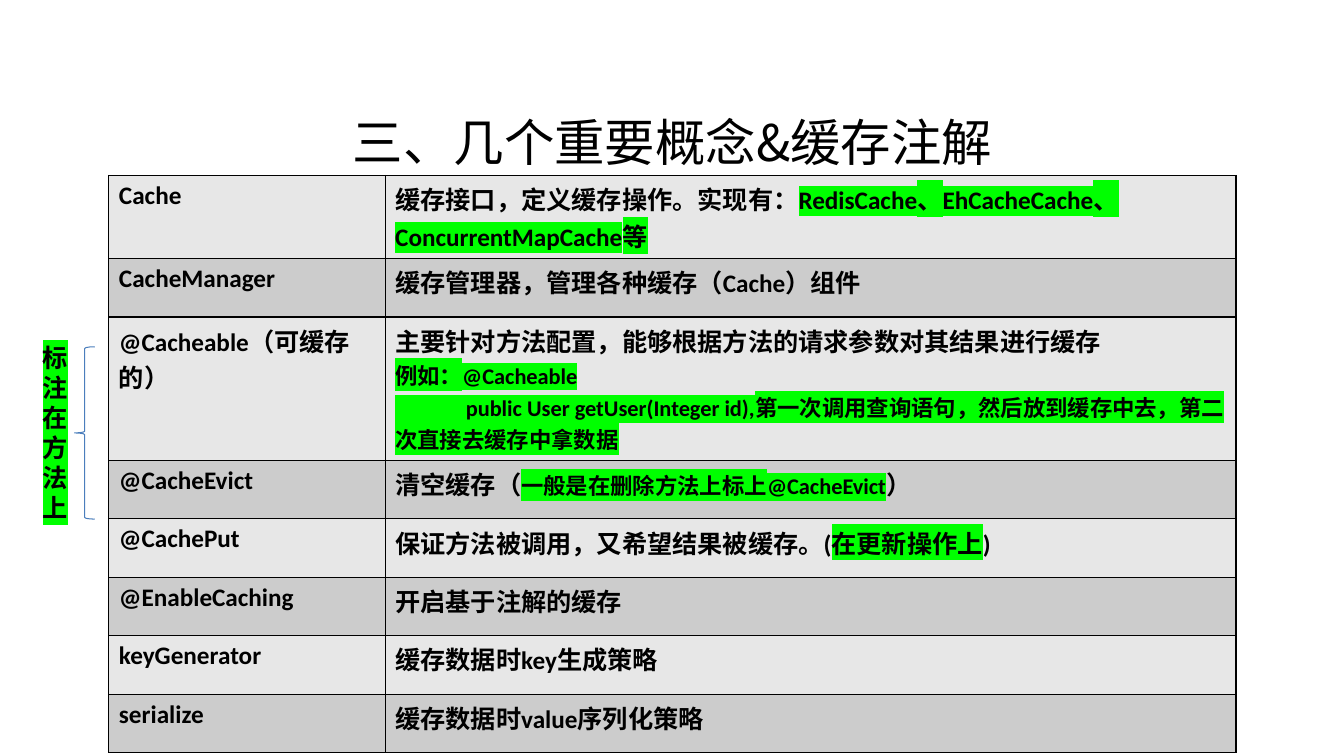
from dataclasses import dataclass

from lxml.etree import SubElement
from pptx import Presentation
from pptx.dml.color import RGBColor
from pptx.enum.shapes import MSO_SHAPE as Shape
from pptx.enum.text import MSO_ANCHOR as Anchor, PP_ALIGN as Align
from pptx.oxml.ns import qn
from pptx.util import Inches, Pt


@dataclass(frozen=True)
class Theme:
    text: str = "000000"
    highlight: str = "00FF00"
    brace: str = "4B7EBC"
    bands: tuple = ("E7E7E7", "CCCCCC")
    latin: str = "Calibri"
    chinese: str = "Noto Sans CJK SC"
    mono: str = "Noto Sans Mono"
    title_size: float = 36
    body_size: float = 18
    example_size: float = 16
    label_spacing: float = 21.5
    border_width: float = 1
    brace_width: float = 0.75


THEME = Theme()


@dataclass(frozen=True)
class Span:
    text: str
    marked: bool = False
    size: float = THEME.body_size


def example(text):
    return Span(text, True, THEME.example_size)


CONCEPTS = [
    ("Cache", [[Span("缓存接口，定义缓存操作。实现有："),
                Span("RedisCache、EhCacheCache、ConcurrentMapCache等", True)]]),
    ("CacheManager", [[Span("缓存管理器，管理各种缓存（Cache）组件")]]),
    ("@Cacheable（可缓存的）", [
        [Span("主要针对方法配置，能够根据方法的请求参数对其结果进行缓存")],
        [example("例如：@Cacheable")],
        [example("              public User getUser(Integer id),"
                 "第一次调用查询语句，然后放到缓存中去，第二次直接去缓存中拿数据")],
    ]),
    ("@CacheEvict", [[Span("清空缓存（"),
                      example("一般是在删除方法上标上@CacheEvict"), Span("）")]]),
    ("@CachePut", [[Span("保证方法被调用，又希望结果被缓存。("),
                    Span("在更新操作上", True), Span(")")]]),
    ("@EnableCaching", [[Span("开启基于注解的缓存")]]),
    ("keyGenerator", [[Span("缓存数据时key生成策略")]]),
    ("serialize", [[Span("缓存数据时value序列化策略")]]),
]
COLUMN_WIDTHS = (2.74, 8.44)
ROW_HEIGHT = 0.58
TALL_ROWS = {0: 0.74, 2: 0.65}


def box(left, top, width, height):
    return [Inches(length) for length in (left, top, width, height)]


def format_run(run, size, latin, chinese, bold=True, marked=False):
    run.font.size = Pt(size)
    run.font.bold = bold
    run.font.color.rgb = RGBColor.from_string(THEME.text)
    properties = run.font.fill._xPr
    if marked:
        highlight = SubElement(properties, qn("a:highlight"))
        SubElement(highlight, qn("a:srgbClr"), val=THEME.highlight)
    run.font.name = latin
    SubElement(properties, qn("a:ea"), typeface=chinese)


def add_title(slide, text):
    title = slide.shapes.title
    title.left, title.top, title.width, title.height = box(0.67, 0.78, 12, 1.25)
    title.text_frame.text = text
    title.text_frame.vertical_anchor = Anchor.MIDDLE
    heading = title.text_frame.paragraphs[0]
    heading.alignment = Align.CENTER
    format_run(heading.runs[0], THEME.title_size, THEME.chinese, THEME.chinese, bold=False)


def style_cell(cell, band):
    properties = cell._tc.get_or_add_tcPr()
    for side in ("lnL", "lnR", "lnT", "lnB"):
        border = SubElement(properties, qn(f"a:{side}"), w=str(Pt(THEME.border_width)))
        SubElement(SubElement(border, qn("a:solidFill")), qn("a:srgbClr"), val=THEME.text)
    cell.fill.solid()
    cell.fill.fore_color.rgb = RGBColor.from_string(band)


def fill_cell(cell, lines):
    frame = cell.text_frame
    for index, spans in enumerate(lines):
        paragraph = frame.add_paragraph() if index else frame.paragraphs[0]
        for span in spans:
            run = paragraph.add_run()
            run.text = span.text
            format_run(run, span.size, THEME.latin, THEME.chinese, marked=span.marked)


def add_concepts(slide):
    heights = [TALL_ROWS.get(index, ROW_HEIGHT) for index in range(len(CONCEPTS))]
    frame = slide.shapes.add_table(
        len(CONCEPTS), len(COLUMN_WIDTHS),
        *box(1.08, 1.74, sum(COLUMN_WIDTHS), sum(heights)))
    concepts = frame.table
    concepts.first_row = concepts.horz_banding = False
    for column, width in zip(concepts.columns, COLUMN_WIDTHS):
        column.width = Inches(width)
    for index, (name, meaning) in enumerate(CONCEPTS):
        row = concepts.rows[index]
        row.height = Inches(heights[index])
        for cell, lines in zip(row.cells, ([[Span(name)]], meaning)):
            style_cell(cell, THEME.bands[index % 2])
            fill_cell(cell, lines)


def add_side_label(slide, text):
    label = slide.shapes.add_textbox(*box(0.42, 3.36, 0.26, 1.86))
    frame = label.text_frame
    frame.text = text
    frame.word_wrap = True
    frame.vertical_anchor = Anchor.MIDDLE
    frame.margin_left = frame.margin_right = frame.margin_top = frame.margin_bottom = 0
    line = frame.paragraphs[0]
    line.alignment = Align.CENTER
    line.line_spacing = Pt(THEME.label_spacing)
    format_run(line.runs[0], THEME.body_size, THEME.mono, THEME.mono, marked=True)


def add_brace(slide):
    brace = slide.shapes.add_shape(Shape.LEFT_BRACE, *box(0.74, 3.44, 0.2, 1.71))
    brace.shadow.inherit = False
    brace.fill.background()
    brace.line.color.rgb = RGBColor.from_string(THEME.brace)
    brace.line.width = Pt(THEME.brace_width)


def main():
    deck = Presentation()
    deck.slide_width, deck.slide_height = Inches(13.33), Inches(7.5)
    slide = deck.slides.add_slide(deck.slide_layouts.get_by_name("Title Only"))
    add_title(slide, "三、几个重要概念&缓存注解")
    add_concepts(slide)
    add_side_label(slide, "标注在方法上")
    add_brace(slide)
    deck.save("out.pptx")


if __name__ == "__main__":
    main()
